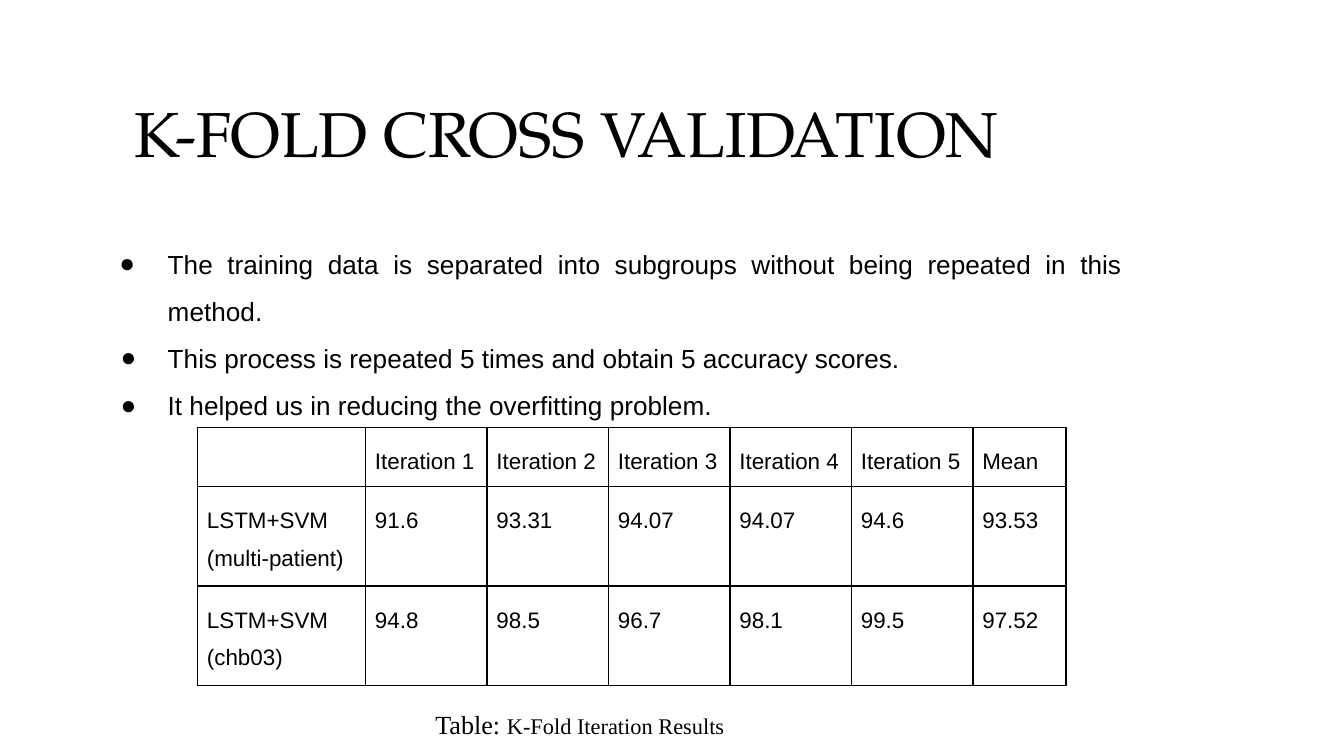
import pptx
import pptx.util
import pptx.dml.color
import pptx.enum.text
import pptx.oxml
import pptx.oxml.ns
import lxml.etree

Inches = pptx.util.Inches
Pt = pptx.util.Pt
COLORS = {"text": "000000", "border": "000000", "page": "FFFFFF"}


def add_element(parent, tag, **attributes):
    element = lxml.etree.SubElement(parent, pptx.oxml.ns.qn(tag))
    for name, value in attributes.items():
        element.set(name, str(value))
    return element


class SlideWriter:
    """Holds the shared style and the slide being filled."""

    body_font = "Arial"
    title_font = "TeX Gyre Pagella"
    caption_font = "Times New Roman"
    line_spacing = 1.5
    cell_size = 12
    cell_margin = Inches(0.07)

    def __init__(self, page):
        self.page = page
        page.background.fill.solid()
        page.background.fill.fore_color.rgb = self.color("page")

    def color(self, name):
        return pptx.dml.color.RGBColor.from_string(COLORS[name])

    def format_span(self, span, size, font):
        span.font.size = Pt(size)
        span.font.name = font
        span.font.color.rgb = self.color("text")

    def text_box(self, left, top, width, height):
        box = self.page.shapes.add_textbox(
            Inches(left), Inches(top), Inches(width), Inches(height))
        frame = box.text_frame
        frame.word_wrap = True
        frame.margin_left = frame.margin_right = Inches(0.1)
        frame.margin_top = frame.margin_bottom = Inches(0.1)
        return frame

    def line(self, place, spans, font):
        para = self.text_box(*place).paragraphs[0]
        for text, size in spans:
            span = para.add_run()
            span.text = text
            self.format_span(span, size, font)

    def bullets(self, place, items, size):
        frame = self.text_box(*place)
        frame.text = "\n".join(text for text, indent in items)
        for para, (text, indent) in zip(frame.paragraphs, items):
            para.alignment = pptx.enum.text.PP_ALIGN.JUSTIFY
            para.line_spacing = self.line_spacing
            self.format_span(para.runs[0], size, self.body_font)
            properties = para._p.get_or_add_pPr()
            properties.set("marL", str(Inches(0.5)))
            properties.set("indent", str(Inches(indent)))
            bullet_color = add_element(properties, "a:buClr")
            add_element(bullet_color, "a:srgbClr", val=COLORS["text"])
            add_element(properties, "a:buFont", typeface=self.body_font)
            add_element(properties, "a:buChar", char="●")

    def cell(self, cell, text):
        cell.margin_left = cell.margin_right = self.cell_margin
        cell.margin_top = cell.margin_bottom = self.cell_margin
        cell.text = text
        for para in cell.text_frame.paragraphs:
            para.line_spacing = self.line_spacing
            for span in para.runs:
                self.format_span(span, self.cell_size, self.body_font)
            if not para.runs:
                add_element(para._p, "a:endParaRPr", sz=self.cell_size * 100)
        # Borders come before the fill in the cell properties
        properties = cell._tc.get_or_add_tcPr()
        for side in ("a:lnL", "a:lnR", "a:lnT", "a:lnB"):
            border = add_element(properties, side, w=Pt(1))
            fill = add_element(border, "a:solidFill")
            add_element(fill, "a:srgbClr", val=COLORS["border"])
        cell.fill.background()

    def table(self, left, top, widths, heights, rows):
        table = self.page.shapes.add_table(
            len(rows), len(widths), Inches(left), Inches(top),
            Inches(sum(widths)), Inches(sum(heights))).table
        table.first_row = table.horz_banding = False
        for column, width in zip(table.columns, widths):
            column.width = Inches(width)
        for row, height, texts in zip(table.rows, heights, rows):
            row.height = Inches(height)
            for cell, text in zip(row.cells, texts):
                self.cell(cell, text)


def main():
    # Widescreen page, 16:9
    deck = pptx.Presentation()
    deck.slide_width = Inches(10)
    deck.slide_height = Inches(10 * 9 / 16)
    writer = SlideWriter(deck.slides.add_slide(deck.slide_layouts[6]))

    # Title
    writer.line((0.9, 0.6, 8.53, 0.77), [("K-FOLD CROSS VALIDATION", 34)],
                writer.title_font)

    # Explanation, each item with its bullet indent
    writer.bullets((0.65, 1.63, 7.8, 1.55), [
        ("The training data is separated into subgroups without being repeated in this method.", -0.36),
        ("This process is repeated 5 times and obtain 5 accuracy scores.", -0.35),
        ("It helped us in reducing the overfitting problem.", -0.35),
    ], 14)

    # Table caption
    writer.line((3.14, 5.17, 5.72, 0.44),
                [("Table: ", 14), ("K-Fold Iteration Results", 12)],
                writer.caption_font)

    # Accuracy scores: five equal iteration columns share 4.52 inches
    iterations = [f"Iteration {number}" for number in range(1, 6)]
    widths = [1.25] + [4.52 / 5] * 5 + [0.69]
    writer.table(1.47, 3.18, widths, [0.41, 0.69, 0.69], [
        ["", *iterations, "Mean"],
        ["LSTM+SVM\n(multi-patient)", "91.6", "93.31", "94.07", "94.07", "94.6", "93.53"],
        ["LSTM+SVM\n(chb03)", "94.8", "98.5", "96.7", "98.1", "99.5", "97.52"],
    ])

    deck.save("out.pptx")


if __name__ == "__main__":
    main()
